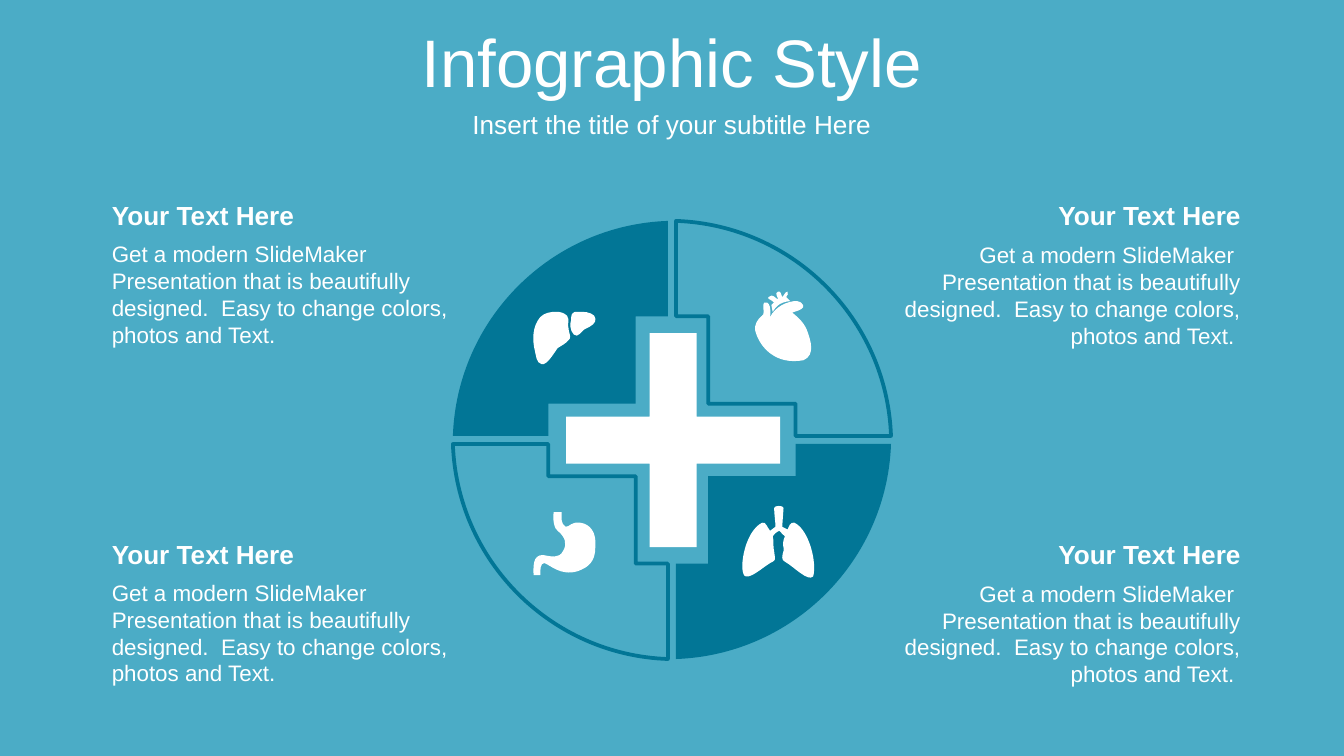
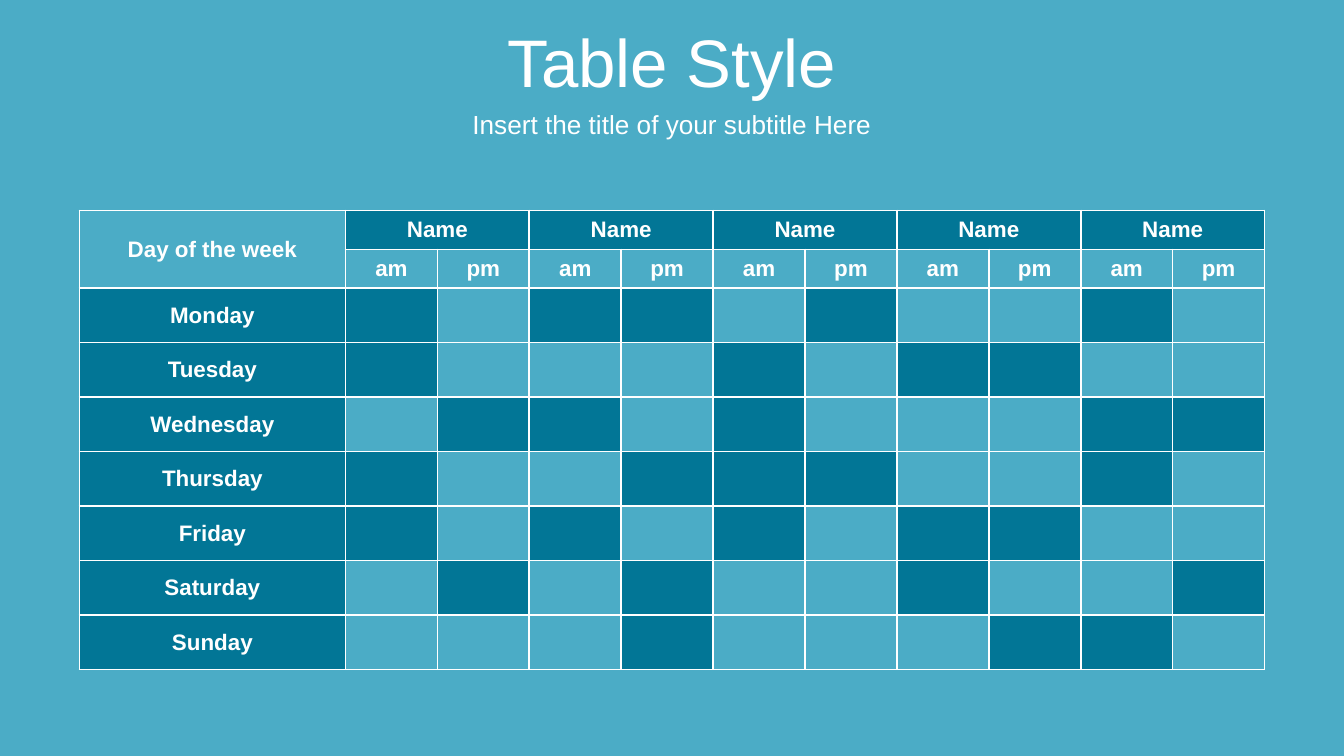
"""Build a medical infographic slide and a weekly table slide."""
from lxml.etree import SubElement
from pptx import Presentation
from pptx.dml.color import RGBColor
from pptx.enum.shapes import MSO_SHAPE as Kind
from pptx.enum.text import MSO_ANCHOR as Anchor, MSO_AUTO_SIZE as Auto, PP_ALIGN as Align
from pptx.oxml.ns import qn
from pptx.util import Pt

hue = RGBColor.from_string
SKY, DEEP, WHITE = "4BACC6", "027696", "FFFFFF"
UNIT = 0.72
MID = (500, 327.4)


def write(frame, text, size, bold=False, align=Align.LEFT):
    frame.word_wrap = True
    para = frame.paragraphs[0]
    para.alignment = align
    run = para.add_run()
    run.text = text
    look = {"name": "Arial", "size": Pt(size), "bold": bold}
    for key, value in look.items():
        setattr(run.font, key, value)
    run.font.color.rgb = hue(WHITE)


def draw(slide, path, fill=None, turns=0, mid=(0, 0)):
    pen, counts = None, []
    for part in path.split("|"):
        dots = []
        for piece in part.split(";"):
            knots = [tuple(map(float, pair.split(","))) for pair in piece.split()]
            for _ in range(turns):
                knots = [(-y, x) for x, y in knots]
            if dots:
                counts.append(len(knots))
            dots += [(Pt((x + mid[0]) * UNIT), Pt((y + mid[1]) * UNIT)) for x, y in knots]
        if pen is None:
            pen = slide.shapes.build_freeform(*dots[0], scale=1.0)
        else:
            pen.move_to(*dots[0])
        pen.add_line_segments(dots[1:], close=True)
    shape = pen.convert_to_shape()
    lines = list(shape._element.iter(qn("a:lnTo")))
    for count in counts:
        nodes, lines = lines[:count], lines[count:]
        if count == 3:
            curve = nodes[0].makeelement(qn("a:cubicBezTo"))
            nodes[0].addprevious(curve)
            for node in nodes:
                curve.append(node[0])
                node.getparent().remove(node)
    shape.shadow.inherit = False
    if fill:
        shape.fill.solid()
        shape.fill.fore_color.rgb = hue(fill)
        shape.line.fill.background()
    else:
        shape.fill.background()
        shape.line.color.rgb = hue(DEEP)
        shape.line.width = Pt(2)


deck = Presentation()
deck.slide_width, deck.slide_height = Pt(720), Pt(405)
back = deck.slide_master.background.fill
back.solid()
back.fore_color.rgb = hue(SKY)

slides = []
for title in ("Infographic Style", "Table Style"):
    slide = deck.slides.add_slide(deck.slide_layouts[6])
    slides.append(slide)
    heads = ((title, 9.6, 45.4, 36), ("Insert the title of your subtitle Here", 55, 22.5, 14))
    for text, top, high, size in heads:
        frame = slide.shapes.add_textbox(0, Pt(top), Pt(720), Pt(high)).text_frame
        frame.vertical_anchor = Anchor.MIDDLE
        write(frame, text, size, align=Align.CENTER)
info, week = slides

QUARTER = ("-3,-163; -3,-92; -27,-92; -27,-27; -92,-27; -92,-3; -163,-3;"
           "-160,-90 -90,-160 -3,-163")
for turns, fill in enumerate((DEEP, None, DEEP, None)):
    draw(info, QUARTER, fill, turns, MID)

plus = info.shapes.add_shape(Kind.CROSS, Pt(303.3), Pt(178.5), Pt(114.6), Pt(114.6))
plus.adjustments[0] = 0.39
plus.shadow.inherit = False
plus.fill.solid()
plus.fill.fore_color.rgb = hue(WHITE)
plus.line.fill.background()

BODY = ("Get a modern SlideMaker  Presentation that is beautifully designed.  "
        "Easy to change colors, photos and Text.")
SIDES = ((52.8, Align.LEFT, "", 21.7), (468, Align.RIGHT, " ", 22.2))
for left, align, tail, drop in SIDES:
    for top in (103.5, 284.9):
        group = info.shapes.add_group_shape()
        parts = ((BODY + tail, top + drop, 65.4, 12, False),
                 ("Your Text Here", top, 24.2, 14, True))
        for text, y, high, size, bold in parts:
            box = group.shapes.add_textbox(Pt(left), Pt(y), Pt(203.8), Pt(high))
            write(box.text_frame, text, size, bold, align)
            box.text_frame.auto_size = Auto.SHAPE_TO_FIT_TEXT

LUNGS = ("576,378; 576,376 583,376 583,378; 582,392; 586,394; 587,392 588,388 591,389;"
         "602,394 608,419 605,429; 601,433 591,422 584,418; 581,417 582,413 583,410;"
         "584,408 581,406 584,399; 582,398 582,397 580,395; 577,396 576,398 575,399;"
         "576,403 575,408 576,410; 576,413 578,417 575,418; 570,420 560,430 555,429;"
         "549,428 553,396 567,389; 570,388 571,393 573,395; 577,392; 577,389 576,382 576,378")
LIVER = ("433,232; 438,232 443,234 443,237; 444,240 440,243 435,245; 433,246 430,252 427,249;"
         "424,246 424,241 425,238; 425,235 425,233 428,232; 430,232 432,232 433,232|"
         "414,232; 417,232 420,233 422,235; 424,238 422,242 423,244; 423,247 425,250 424,252;"
         "421,256 418,257 415,259; 412,263 407,272 403,271; 399,270 399,265 398,261;"
         "396,253 396,243 402,236; 405,233 409,232 414,232")
STOMACH = ("412,381; 418,381; 418,385 417,390 421,392; 424,392 425,388 432,389;"
           "439,390 444,396 443,407; 443,418 438,422 430,425; 417,429 409,420 405,419;"
           "402,419 402,424 402,428; 397,428; 397,422 396,413 404,413;"
           "410,414 416,416 419,410; 422,405 421,400 415,395; 413,394 411,388 412,381")
HEART = ("593,224; 594,224 595,224 596,225; 603,231 587,232 590,233; 595,237 599,241 601,247;"
         "603,253 607,264 598,268; 577,272 565,258 562,246; 561,242 564,237 567,235;"
         "569,234 568,231 568,227; 567,224 575,222 573,236; 577,228 586,224 593,224|"
         "580,217; 581,217 582,221 582,221; 583,221 584,217 586,217; 587,218 586,220 585,221;"
         "588,224; 579,225 577,229 575,232; 574,227; 576,225; 574,223 570,222 572,221;"
         "575,218 577,222 579,223; 579,221 576,218 579,217; 579,217 579,217 580,217")
for organ in (LUNGS, LIVER, STOMACH, HEART):
    draw(info, organ, WHITE)

DAYS = {
    "Monday": "X.XX.X..X.",
    "Tuesday": "X...X.XX..",
    "Wednesday": ".XX.X...XX",
    "Thursday": "X..XXX..X.",
    "Friday": "X.X.X.XX..",
    "Saturday": ".X.X..X..X",
    "Sunday": "...X...XX.",
}
rows = [["Day of the week"] + ["Name", ""] * 5, [""] + ["am", "pm"] * 5]
rows += [[day] + [""] * 10 for day in DAYS]
fills = [[SKY] + [DEEP] * 10, [SKY] * 11]
fills += [[DEEP] + [DEEP if mark == "X" else None for mark in marks] for marks in DAYS.values()]

table = week.shapes.add_table(9, 11, Pt(42.5), Pt(112.8), Pt(635.1), Pt(246)).table
table.first_row = table.horz_banding = False
for i, col in enumerate(table.columns):
    col.width = Pt(49.25 if i else 142.6)
for i, row in enumerate(table.rows):
    row.height = Pt(29.2 if i > 1 else 14.4)
table.cell(0, 0).merge(table.cell(1, 0))
for i in range(1, 11, 2):
    table.cell(0, i).merge(table.cell(0, i + 1))

for r, (texts, shades) in enumerate(zip(rows, fills)):
    for c, (text, shade) in enumerate(zip(texts, shades)):
        cell = table.cell(r, c)
        cell.vertical_anchor = Anchor.MIDDLE
        cell.margin_top = cell.margin_bottom = Pt(3.2)
        props = cell._tc.get_or_add_tcPr()
        for side in ("lnL", "lnR", "lnT", "lnB"):
            edge = SubElement(props, qn("a:" + side), w=str(Pt(1)))
            SubElement(SubElement(edge, qn("a:solidFill")), qn("a:srgbClr"), val=WHITE)
        if shade:
            cell.fill.solid()
            cell.fill.fore_color.rgb = hue(shade)
        else:
            cell.fill.background()
        if text:
            write(cell.text_frame, text, 12, True, Align.CENTER)

deck.save("out.pptx")
